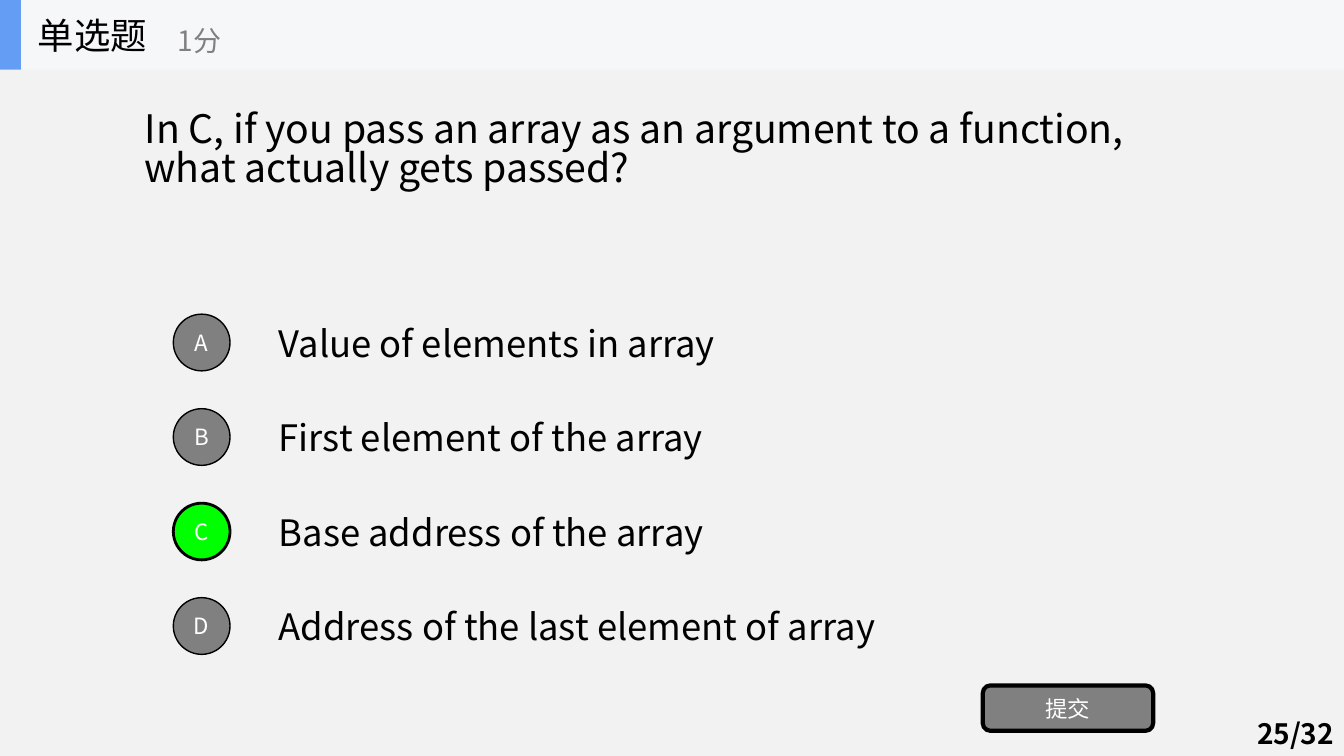
from pptx import Presentation
from pptx.util import Pt
from pptx.dml.color import RGBColor
from pptx.enum.shapes import MSO_SHAPE as Kind
from pptx.enum.text import MSO_ANCHOR as Anchor, PP_ALIGN as Align
from pptx.oxml.ns import qn

BLACK, WHITE, GRAY = "000000", "FFFFFF", "808080"


def color(code):
    return RGBColor.from_string(code)


class Quiz:
    """Holds the font and the current slide."""
    font = "Noto Sans CJK SC"

    def __init__(self, slide):
        self.slide = slide

    def label(self, shape, text, size, ink, align, bold=False, wrap=True, space=None):
        frame = shape.text_frame
        frame.text = text
        frame.word_wrap = wrap
        frame.vertical_anchor = Anchor.MIDDLE
        para = frame.paragraphs[0]
        para.alignment = align
        if space:
            para.line_spacing = space
        for run in para.runs:
            font = run.font
            font.name, font.size, font.bold = self.font, Pt(size), bold
            font.color.rgb = color(ink)
            east = font._element.makeelement(qn("a:ea"), {"typeface": self.font})
            font._element.find(qn("a:latin")).addnext(east)

    def text(self, box, text, size, ink=BLACK, align=Align.LEFT, **more):
        shape = self.slide.shapes.add_textbox(*map(Pt, box))
        self.label(shape, text, size, ink, align, **more)

    def shape(self, kind, box, fill, line=0):
        shape = self.slide.shapes.add_shape(kind, *map(Pt, box))
        shape.shadow.inherit = False
        shape.fill.solid()
        shape.fill.fore_color.rgb = color(fill)
        if line:
            shape.line.color.rgb = color(BLACK)
            shape.line.width = Pt(line)
        else:
            shape.line.fill.background()
        return shape

    def button(self, kind, box, text, fill, line):
        shape = self.shape(kind, box, fill, line)
        frame = shape.text_frame
        frame.margin_left = frame.margin_right = 0
        self.label(shape, text, 16, WHITE, Align.CENTER)


def main():
    deck = Presentation()
    deck.slide_width, deck.slide_height = Pt(960), Pt(540)
    slide = deck.slides.add_slide(deck.slide_layouts[6])
    quiz = Quiz(slide)

    # Background and page number
    back = slide.background.fill
    back.solid()
    back.fore_color.rgb = color("F2F2F2")
    quiz.text((744, 509, 216, 29), "25/32", 20, align=Align.RIGHT, bold=True)

    # Question
    quiz.text((96.2, 70.8, 767.5, 75), "In C, if you pass an array as an argument "
              "to a function, what actually gets passed?", 28, space=0.83)

    # Answers, the right one in green
    answers = ["Value of elements in array", "First element of the array",
               "Base address of the array", "Address of the last element of array"]
    for row, (mark, answer) in enumerate(zip("ABCD", answers)):
        top = 224.4 + 67.5 * row
        fill, line = ("00FF00", 2) if mark == "C" else (GRAY, 1)
        quiz.text((192, top + 0.8, 460, 39), answer, 26)
        quiz.button(Kind.OVAL, (123.8, top, 40.5, 40.5), mark, fill, line)

    # Submit button
    quiz.button(Kind.ROUNDED_RECTANGLE, (702, 489.6, 121.7, 32.4), "提交", GRAY, 3)

    # Title bar
    quiz.shape(Kind.RECTANGLE, (0, 0, 960, 49.8), "F6F7F8")
    quiz.shape(Kind.RECTANGLE, (0, 0, 15, 49.8), "639EF4")
    quiz.text((20, 0, 150, 49.8), "单选题", 26, wrap=False)
    quiz.text((120, 8.6, 180, 40.3), "1分", 20, GRAY, wrap=False)

    deck.save("out.pptx")


if __name__ == "__main__":
    main()
